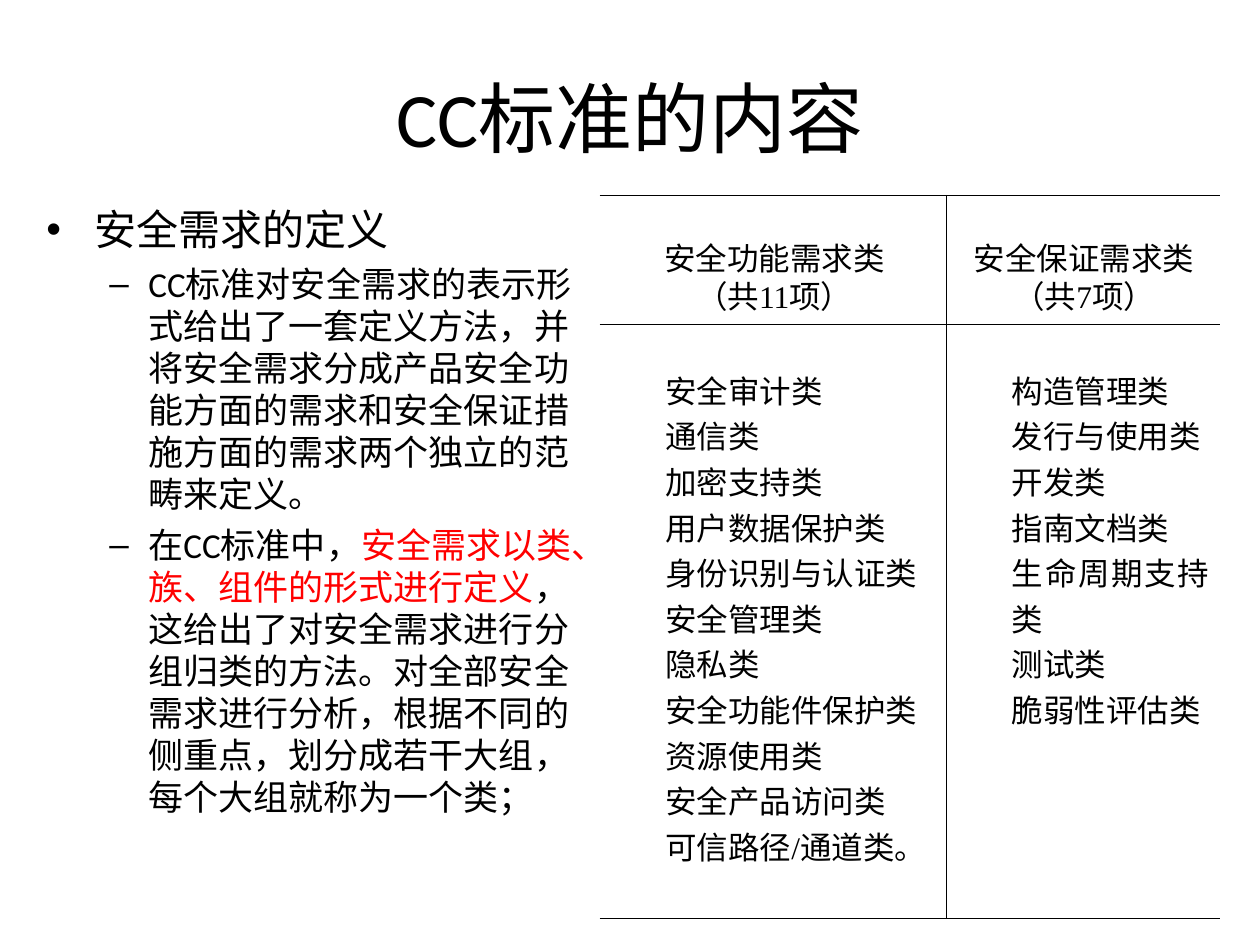
from dataclasses import dataclass

from lxml.etree import Element, SubElement
from pptx import Presentation
from pptx.dml.color import RGBColor
from pptx.enum.text import MSO_ANCHOR, PP_ALIGN
from pptx.oxml.ns import qn
from pptx.util import Inches, Pt


@dataclass(frozen=True)
class Theme:
    """Colours, fonts, type sizes and line widths of the slide."""
    ink: str = "000000"
    accent: str = "FF0000"
    sans: str = "Calibri"
    serif: str = "Times New Roman"
    title: float = 44
    heading: float = 24
    body: float = 20
    table: float = 18
    outer_rule: float = 0.75
    inner_rule: float = 0.45


THEME = Theme()

DEFINITION = [
    (0, [("安全需求的定义", THEME.ink)]),
    (1, [("CC标准对安全需求的表示形式给出了一套定义方法，并将安全需求分成产品安全功能方面的"
          "需求和安全保证措施方面的需求两个独立的范畴来定义。", THEME.ink)]),
    (1, [("在CC标准中，", THEME.ink),
         ("安全需求以类、族、组件的形式进行定义", THEME.accent),
         ("，这给出了对安全需求进行分组归类的方法。对全部安全需求进行分析，根据不同的侧重点，"
          "划分成若干大组，每个大组就称为一个类；", THEME.ink)]),
]

LEVELS = [
    {"bullet": "•", "margin": 0.38, "hang": 0.38, "size": THEME.heading,
     "format": {"level": 0, "line_spacing": Pt(30)}},
    {"bullet": "–", "margin": 0.81, "hang": 0.31, "size": THEME.body,
     "format": {"level": 1, "line_spacing": Pt(24), "space_before": Pt(5)}},
]

HEADERS = [["安全功能需求类", "（共11项）"], ["安全保证需求类（共7项）"]]
CLASSES = [
    ["安全审计类", "通信类", "加密支持类", "用户数据保护类", "身份识别与认证类", "安全管理类",
     "隐私类", "安全功能件保护类", "资源使用类", "安全产品访问类", "可信路径/通道类。"],
    ["构造管理类", "发行与使用类", "开发类", "指南文档类", "生命周期支持类", "测试类",
     "脆弱性评估类"],
]


def apply(target, values):
    """Set each named attribute of the target."""
    for name, value in values.items():
        setattr(target, name, value)


def add_run(paragraph, text, size, font, colour=THEME.ink):
    """Add a run of text in the given type."""
    run = paragraph.add_run()
    run.text = text
    apply(run.font, {"size": Pt(size), "name": font})
    run.font.color.rgb = RGBColor.from_string(colour)


def paragraphs_for(frame, items):
    """Yield each item with its own paragraph, starting with the first one."""
    for index, item in enumerate(items):
        yield (frame.add_paragraph() if index else frame.paragraphs[0]), item


def set_indent(paragraph, margin, hang=0):
    """Set the left margin and hanging indent in inches."""
    properties = paragraph._p.get_or_add_pPr()
    properties.set("marL", str(Inches(margin)))
    properties.set("indent", str(-Inches(hang)))
    return properties


def set_bullet(paragraph, level):
    """Give the paragraph the bullet and indent of its level."""
    properties = set_indent(paragraph, level["margin"], level["hang"])
    colour = SubElement(properties, qn("a:buClr"))
    SubElement(colour, qn("a:srgbClr"), val=THEME.ink)
    SubElement(properties, qn("a:buFont"), typeface="Arial")
    SubElement(properties, qn("a:buChar"), char=level["bullet"])


def set_borders(cell, widths):
    """Draw the cell borders named by side, with widths in points."""
    properties = cell._tc.get_or_add_tcPr()
    for position, side in enumerate("LRTB"):
        width = widths.get(side, 0)
        line = Element(qn(f"a:ln{side}"), w=str(Pt(width)))
        if width:
            fill = SubElement(line, qn("a:solidFill"))
            SubElement(fill, qn("a:srgbClr"), val=THEME.ink)
        else:
            SubElement(line, qn("a:noFill"))
        properties.insert(position, line)


def add_title(slide, box):
    """Place the centred slide title in the box."""
    frame = slide.shapes.add_textbox(*box).text_frame
    apply(frame, {"word_wrap": True, "vertical_anchor": MSO_ANCHOR.MIDDLE})
    paragraph = frame.paragraphs[0]
    paragraph.alignment = PP_ALIGN.CENTER
    add_run(paragraph, "CC标准的内容", THEME.title, THEME.sans)


def add_definition(slide, box):
    """Place the bulleted definition of security requirements in the box."""
    frame = slide.shapes.add_textbox(*box).text_frame
    frame.word_wrap = True
    for paragraph, (depth, runs) in paragraphs_for(frame, DEFINITION):
        level = LEVELS[depth]
        set_bullet(paragraph, level)
        apply(paragraph, level["format"])
        for text, colour in runs:
            add_run(paragraph, text, level["size"], THEME.sans, colour)


def fill_cell(cell, lines, top, indent, values):
    """Write the lines into a cell below the given top margin."""
    cell.fill.background()
    apply(cell, {"margin_left": Inches(0.08), "margin_right": Inches(0.08),
                 "margin_top": Inches(top), "margin_bottom": Inches(0.05)})
    for paragraph, line in paragraphs_for(cell.text_frame, lines):
        set_indent(paragraph, indent)
        apply(paragraph, values)
        add_run(paragraph, line, THEME.table, THEME.serif)


def add_class_table(slide, box):
    """Place the table of functional and assurance classes in the box."""
    left, top, width, height = box
    table = slide.shapes.add_table(2, 2, left, top, width, height).table
    apply(table, {"first_row": False, "horz_banding": False})
    header_height, first_width = Inches(1.02), Inches(2.75)
    table.rows[0].height, table.rows[1].height = header_height, height - header_height
    table.columns[0].width, table.columns[1].width = first_width, width - first_width
    header_format = {"alignment": PP_ALIGN.CENTER, "line_spacing": Pt(22)}
    outer, inner = THEME.outer_rule, THEME.inner_rule
    alignments = [PP_ALIGN.LEFT, PP_ALIGN.JUSTIFY]
    for column, (divider, alignment) in enumerate(zip("RL", alignments)):
        header, classes = table.cell(0, column), table.cell(1, column)
        fill_cell(header, HEADERS[column], 0.36, 0.02, header_format)
        fill_cell(classes, CLASSES[column], 0.34, 0.44, {"alignment": alignment})
        set_borders(header, {divider: inner, "T": outer, "B": inner})
        set_borders(classes, {divider: inner, "T": inner, "B": outer})


def main():
    """Build the slide and save it."""
    deck = Presentation()
    apply(deck, {"slide_width": Inches(10), "slide_height": Inches(7.5)})
    slide = deck.slides.add_slide(deck.slide_layouts[6])
    regions = [
        (add_title, (0.5, 0.3, 9, 1.25)),
        (add_definition, (0.27, 1.55, 4.57, 5.43)),
        (add_class_table, (4.76, 1.55, 4.92, 5.74)),
    ]
    for add_region, box in regions:
        add_region(slide, [Inches(length) for length in box])
    deck.save("out.pptx")


if __name__ == "__main__":
    main()
